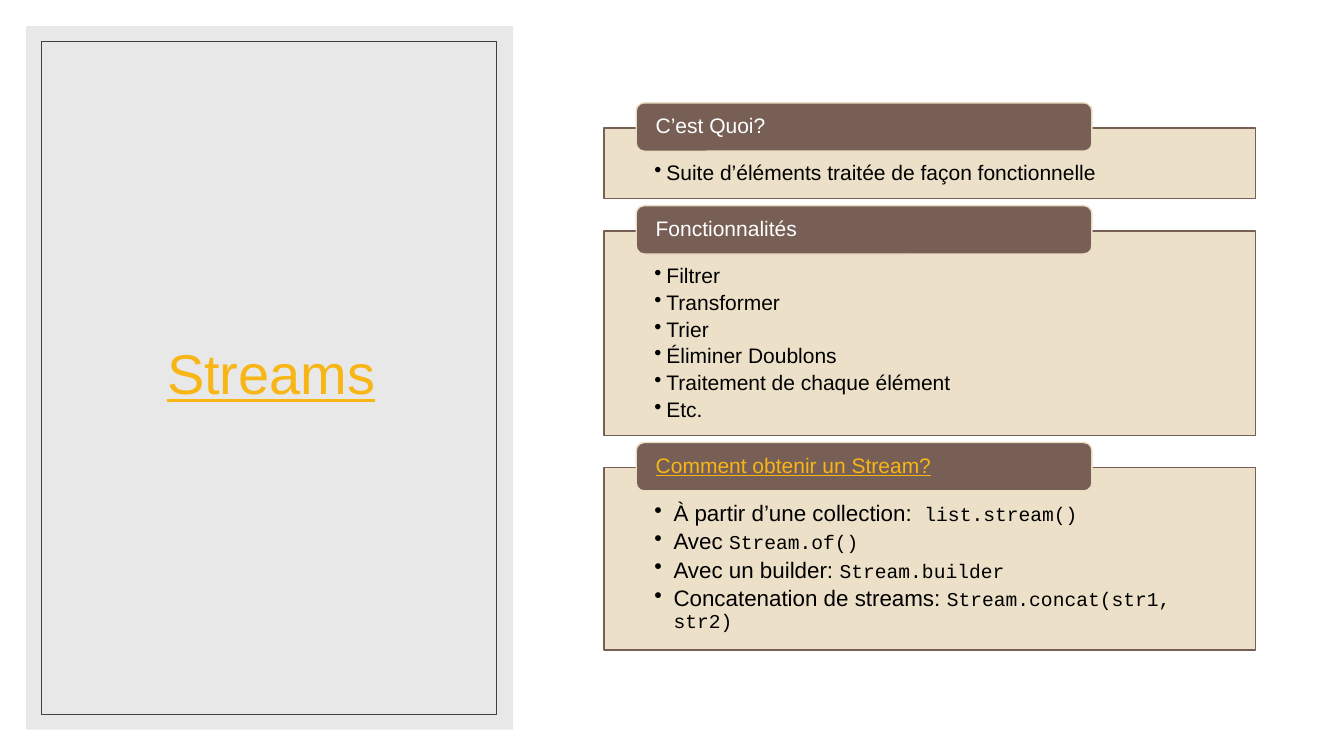
"""Build the slide that introduces streams in three titled boxes."""
from lxml.etree import SubElement
from pptx import Presentation
from pptx.dml.color import RGBColor
from pptx.enum.shapes import MSO_SHAPE as Shape
from pptx.enum.text import MSO_ANCHOR as Anchor, PP_ALIGN as Align
from pptx.oxml.ns import qn
from pptx.util import Inches, Pt

WHITE = RGBColor(0xFF, 0xFF, 0xFF)
BLACK = RGBColor(0, 0, 0)
GREY = RGBColor(0xD9, 0xD9, 0xD9)
DARK = RGBColor(0x40, 0x40, 0x40)
GOLD = RGBColor(0xF7, 0xB6, 0x15)
SAND = RGBColor(0xEB, 0xDD, 0xC3)
BROWN = RGBColor(0x77, 0x5F, 0x55)

BOXES = [
    ("C’est Quoi?", WHITE, 0.7, 15, 0.12,
     [("Suite d’éléments traitée de façon fonctionnelle", "")]),
    ("Fonctionnalités", WHITE, 2.03, 15, 0.12,
     [("Filtrer", ""), ("Transformer", ""), ("Trier", ""),
      ("Éliminer Doublons", ""), ("Traitement de chaque élément", ""),
      ("Etc.", "")]),
    ("Comment obtenir un Stream?", GOLD, 1.81, 16, 0.19,
     [("À partir d’une collection:  ", "list.stream()"),
      ("Avec ", "Stream.of()"),
      ("Avec un builder: ", "Stream.builder"),
      ("Concatenation de streams: ", "Stream.concat(str1, str2)")]),
]
GAP = 0.32


def add_box(kind, left, top, width, height, fill=None, alpha=100, line=None, weight=1):
    box = slide.shapes.add_shape(
        kind, Inches(left), Inches(top), Inches(width), Inches(height))
    box.shadow.inherit = False
    if fill is None:
        box.fill.background()
    else:
        box.fill.solid()
        box.fill.fore_color.rgb = fill
        if alpha < 100:
            color = box.fill._xPr.find(".//" + qn("a:srgbClr"))
            SubElement(color, qn("a:alpha"), val=str(alpha * 1000))
    if line is None:
        box.line.fill.background()
    else:
        box.line.color.rgb = line
        box.line.width = Pt(weight)
    return box


def style(para, size, color, align=Align.LEFT):
    para.alignment = align
    para.line_spacing = 0.9
    para.font.name = "Arial"
    para.font.size = Pt(size)
    para.font.color.rgb = color
    para.font.underline = color == GOLD


deck = Presentation()
deck.slide_width = Inches(13.33)
deck.slide_height = Inches(7.5)
slide = deck.slides.add_slide(deck.slide_layouts[6])

add_box(Shape.RECTANGLE, 0.26, 0.26, 4.83, 6.98, GREY, 60)
title = slide.shapes.add_textbox(
    Inches(0.63), Inches(0.61), Inches(4.12), Inches(6.24)).text_frame
title.word_wrap = True
title.vertical_anchor = Anchor.MIDDLE
title.text = "Streams"
style(title.paragraphs[0], 40, GOLD, Align.CENTER)
add_box(Shape.RECTANGLE, 0.41, 0.41, 4.51, 6.68, line=DARK, weight=0.5)

top = 1.27
for name, color, height, size, indent, items in BOXES:
    body = add_box(Shape.RECTANGLE, 5.99, top, 6.46, height, SAND, 90, BROWN).text_frame
    body.word_wrap = True
    body.vertical_anchor = Anchor.TOP
    body.margin_left = body.margin_right = Inches(0.5)
    body.margin_top = Inches(0.34)
    body.margin_bottom = Inches(0.12)
    for i, (label, code) in enumerate(items):
        para = body.add_paragraph() if i else body.paragraphs[0]
        style(para, size, BLACK)
        para.space_after = Pt(3)
        props = para._p.get_or_add_pPr()
        props.set("marL", str(Inches(indent)))
        props.set("indent", str(-Inches(indent)))
        bullet = props.makeelement(qn("a:buChar"), {"char": "•"})
        props.find(qn("a:defRPr")).addprevious(bullet)
        para.add_run().text = label
        if code:
            run = para.add_run()
            run.text = code
            run.font.name = "Courier New"
            run.font.size = Pt(14)

    head = add_box(Shape.ROUNDED_RECTANGLE, 6.31, top - 0.25, 4.52, 0.48,
                   BROWN, line=SAND).text_frame
    head.word_wrap = True
    head.vertical_anchor = Anchor.MIDDLE
    head.margin_left = head.margin_right = Inches(0.17)
    head.margin_top = head.margin_bottom = 0
    head.text = name
    style(head.paragraphs[0], 15, color)
    top += height + GAP

deck.save("out.pptx")
